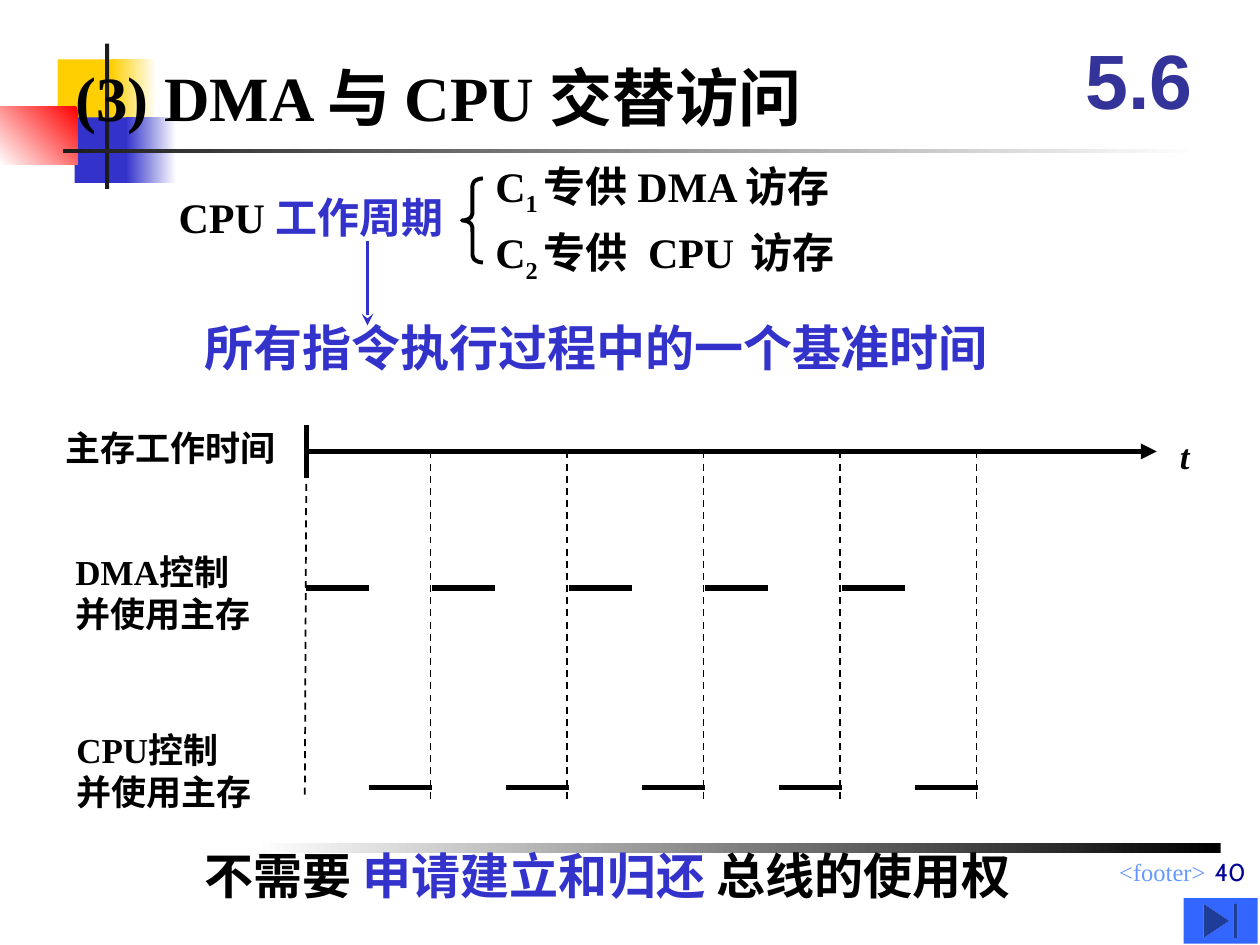
from dataclasses import dataclass
from typing import Optional

import pptx
import pptx.dml.color
import pptx.enum.dml
import pptx.enum.shapes
import pptx.enum.text
import pptx.oxml
import pptx.oxml.ns
import pptx.util
from pptx.util import Pt

SHAPE = pptx.enum.shapes.MSO_SHAPE
ALIGN = pptx.enum.text.PP_ALIGN
ANCHOR = pptx.enum.text.MSO_ANCHOR
FIT = pptx.enum.text.MSO_AUTO_SIZE
SERIF = "Times New Roman"
BLACK, WHITE, BLUE, CHARCOAL = "000000", "FFFFFF", "3333CC", "1C1C1C"


@dataclass
class Bar:
    left: float
    top: float
    width: float
    height: float
    start: str
    end: Optional[str] = None
    angle: float = 180


@dataclass
class Span:
    text: str
    size: float = 24
    color: str = BLACK
    font: str = SERIF
    bold: bool = True
    italic: bool = False
    baseline: int = 0
    spacing: float = 0


@dataclass
class Label:
    left: float
    top: float
    width: float
    height: float
    lines: list[list[Span]]
    wrap: bool = True
    align: ALIGN = ALIGN.LEFT
    anchor: ANCHOR = ANCHOR.TOP
    fit: FIT = FIT.SHAPE_TO_FIT_TEXT


@dataclass
class Line:
    x1: float
    y1: float
    x2: float
    y2: float
    weight: float = 3
    color: str = BLACK
    dashed: bool = False
    arrow: Optional[str] = None


def rgb(color: str) -> pptx.dml.color.RGBColor:
    return pptx.dml.color.RGBColor.from_string(color)


def add_preset(page, kind, left: float, top: float, width: float, height: float):
    shape = page.shapes.add_shape(kind, Pt(left), Pt(top), Pt(width), Pt(height))
    shape.shadow.inherit = False
    return shape


def draw_bar(page, bar: Bar) -> None:
    shape = add_preset(page, SHAPE.RECTANGLE, bar.left, bar.top, bar.width, bar.height)
    shape.line.fill.background()
    if bar.end is None:
        shape.fill.solid()
        shape.fill.fore_color.rgb = rgb(bar.start)
        return
    shape.fill.gradient()
    shape.fill.gradient_angle = bar.angle
    for stop, color in zip(shape.fill.gradient_stops, (bar.start, bar.end)):
        stop.color.rgb = rgb(color)


def write_label(box, label: Label) -> None:
    box.left, box.top = Pt(label.left), Pt(label.top)
    box.width, box.height = Pt(label.width), Pt(label.height)
    frame = box.text_frame
    frame.word_wrap = label.wrap
    frame.auto_size = label.fit
    frame.vertical_anchor = label.anchor
    for index, spans in enumerate(label.lines):
        para = frame.add_paragraph() if index else frame.paragraphs[0]
        para.alignment = label.align
        for span in spans:
            run = para.add_run()
            run.text = span.text
            run.font.name = span.font
            run.font.size = Pt(span.size)
            run.font.bold = span.bold
            run.font.italic = span.italic
            run.font.color.rgb = rgb(span.color)
            properties = run._r.get_or_add_rPr()
            if span.baseline:
                properties.set("baseline", str(span.baseline * 1000))
            if span.spacing:
                properties.set("spc", str(round(span.spacing * 100)))


def draw_label(page, label: Label) -> None:
    box = page.shapes.add_textbox(Pt(label.left), Pt(label.top), Pt(label.width), Pt(label.height))
    write_label(box, label)


def draw_line(page, line: Line) -> None:
    connector = page.shapes.add_connector(
        pptx.enum.shapes.MSO_CONNECTOR.STRAIGHT,
        Pt(line.x1), Pt(line.y1), Pt(line.x2), Pt(line.y2),
    )
    connector.line.color.rgb = rgb(line.color)
    connector.line.width = Pt(line.weight)
    if line.dashed:
        connector.line.dash_style = pptx.enum.dml.MSO_LINE.DASH
    if line.arrow:
        tail = pptx.oxml.parse_xml(f'<a:tailEnd {pptx.oxml.ns.nsdecls("a")} type="{line.arrow}"/>')
        connector.line._get_or_add_ln().append(tail)
    effects = pptx.oxml.parse_xml(f'<a:effectLst {pptx.oxml.ns.nsdecls("a")}/>')
    connector._element.spPr.append(effects)


def timing_lines() -> list[Line]:
    start, period, pulse = 175, 78, 36
    axis, dma_level, cpu_level = 258, 336, 450
    dma_starts = [start] + [247 + period * i for i in range(4)]
    cpu_starts = [211 + period * i for i in range(5)]
    lines = [
        Line(start, axis - 15, start, axis + 15),
        Line(start, axis, 661, axis, arrow="triangle"),
        Line(start, 276.5, 174.2, 455, 1, dashed=True),
    ]
    lines += [Line(x, dma_level, x + pulse, dma_level) for x in dma_starts]
    lines += [Line(x, cpu_level, x + pulse, cpu_level) for x in cpu_starts]
    lines += [Line(x, axis, x, 456.5, 1, dashed=True) for x in (246 + period * i for i in range(5))]
    return lines


def row_label(left: float, top: float, width: float, *texts: str, italic: bool = False) -> Label:
    lines = [[Span(text, 20, italic=italic)] for text in texts]
    return Label(left, top, width, 7.5 + 24 * len(texts), lines, wrap=False)


BARS = [
    Bar(33, 34, 34.5, 37.5, "FFCF01"),
    Bar(63.5, 34, 26, 37.5, WHITE, "FFCF01"),
    Bar(42.7, 67, 33, 37.5, BLUE),
    Bar(72, 67, 28.6, 37.5, WHITE, BLUE),
    Bar(0, 60.9, 44.2, 33.4, "FF0000", WHITE, 225),
    Bar(60, 25, 2.4, 83, CHARCOAL),
    Bar(36, 85.2, 648, 2.4, WHITE, CHARCOAL),
    Bar(145.5, 481.8, 552, 5.8, BLACK, WHITE),
]

SECTION = Label(606, 12, 90, 66, [[Span("5.6", 44, "333399", "Arial")]],
                align=ALIGN.CENTER, anchor=ANCHOR.MIDDLE, fit=FIT.NONE)

LABELS = [
    Label(282, 486, 414, 18.7, [[Span("<footer>", 14, "6699FF", bold=False)]],
          align=ALIGN.RIGHT, fit=FIT.NONE),
    Label(36, 30, 498, 50.5, [[Span("(3) DMA 与 CPU 交替访问", 36)]]),
    row_label(30.3, 240, 134.5, "主存工作时间"),
    row_label(36, 311, 114.5, "DMA控制", "并使用主存"),
    row_label(36.5, 412.6, 114.5, "CPU控制", "并使用主存"),
    row_label(667.2, 245, 19.8, "t", italic=True),
    Label(95, 106, 181.5, 36, [[Span("CPU "), Span("工作周期", color=BLUE)]]),
    Label(276, 88, 318, 40, [[Span("C"), Span("1 ", baseline=-25), Span("专供 DMA 访存")]]),
    Label(276, 126, 276, 40, [[Span("C"), Span("2 ", baseline=-25), Span("专供"), Span(" ", spacing=6),
                               Span("CPU"), Span(" ", spacing=3.5), Span("访存")]]),
    Label(110, 178, 547, 41, [[Span("所有指令执行过程中的一个基准时间", 28, BLUE)]]),
    Label(110, 479.5, 578, 41, [[Span("不需要 ", 28), Span("申请建立和归还 ", 28, BLUE),
                                 Span("总线的使用权", 28)]]),
    Label(375, 474, 344, 36, [[Span("40", 14, "000099", "Cabin", bold=False)]],
          align=ALIGN.RIGHT, anchor=ANCHOR.BOTTOM, fit=FIT.NONE),
]


def main() -> None:
    deck = pptx.Presentation()
    deck.slide_width, deck.slide_height = Pt(720), Pt(540)
    page = deck.slides.add_slide(deck.slide_layouts[5])
    write_label(page.shapes.title, SECTION)
    for bar in BARS:
        draw_bar(page, bar)
    for line in timing_lines() + [Line(210, 138, 210, 186, 2.25, BLUE, arrow="stealth")]:
        draw_line(page, line)
    for label in LABELS:
        draw_label(page, label)

    brace = add_preset(page, SHAPE.LEFT_BRACE, 264, 102, 12, 48)
    brace.adjustments[0] = 0.33
    brace.fill.background()
    brace.line.color.rgb = rgb(BLACK)
    brace.line.width = Pt(2.25)

    button = add_preset(page, SHAPE.ACTION_BUTTON_END, 676.4, 513.2, 42.3, 26)
    button.fill.solid()
    button.fill.fore_color.rgb = rgb("3366FF")
    button.line.fill.background()

    deck.save("out.pptx")


if __name__ == "__main__":
    main()
